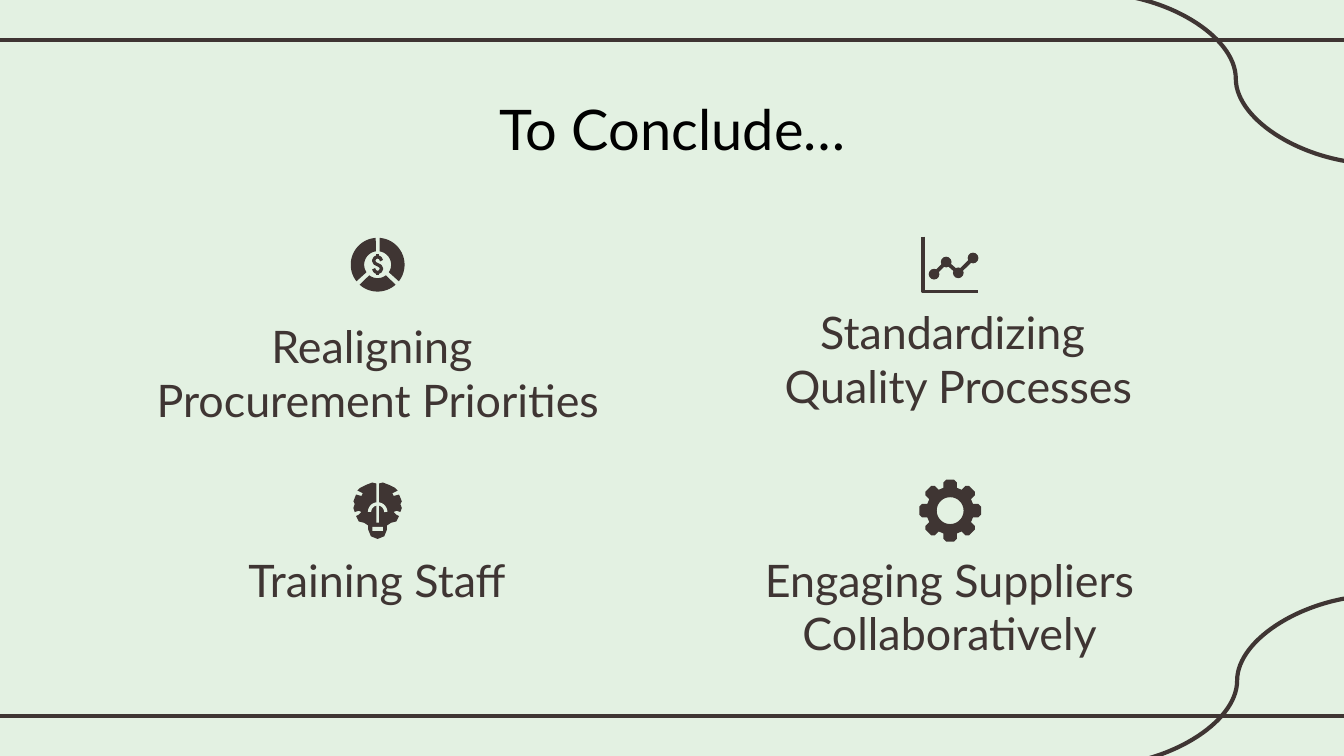
from math import cos, pi, radians, sin

from lxml import etree
from pptx import Presentation
from pptx.dml.color import RGBColor
from pptx.enum.shapes import MSO_CONNECTOR, MSO_SHAPE
from pptx.enum.text import MSO_ANCHOR, PP_ALIGN
from pptx.oxml.ns import qn
from pptx.util import Inches, Pt

STRAIGHT, CURVE = MSO_CONNECTOR.STRAIGHT, MSO_CONNECTOR.CURVE
OVAL, RECTANGLE = MSO_SHAPE.OVAL, MSO_SHAPE.RECTANGLE
TOP, CENTER = MSO_ANCHOR.TOP, PP_ALIGN.CENTER

MINT = RGBColor(0xE3, 0xF1, 0xE2)
BROWN = RGBColor(0x3F, 0x35, 0x33)
BLACK = RGBColor(0, 0, 0)

WIDTH = 10
HEIGHT = WIDTH * 9 / 16
COLUMNS, ROWS = (2.81, 7.07), (1.97, 3.8)  # icon centres

# kind, from, to
FRAME_LINES = [
    (STRAIGHT, (-0.08, 0.3), (10.08, 0.3)),
    (STRAIGHT, (-0.08, 5.33), (10.08, 5.33)),
    (CURVE, (8.14, -0.05), (10.25, 1.22)),
    (CURVE, (10.26, 4.43), (8.15, 5.7)),
]

TITLE = {"name": "Lato", "size": Pt(30)}
POINT = {"name": "Lato", "size": Pt(24)}
# paragraphs, (left, top, width, height), font, colour
TEXTS = [
    (["Standardizing ", "Quality Processes"],
     (5.4, 2.17, 3.46, 1.17), POINT, BROWN),
    (["Realigning ", "Procurement Priorities"],
     (0.98, 2.27, 3.66, 1.08), POINT, BROWN),
    (["Training Staff"], (1.54, 4.01, 2.53, 0.78), POINT, BROWN),
    (["Engaging Suppliers Collaboratively"],
     (5.41, 4.01, 3.31, 1.08), POINT, BROWN),
    (["To Conclude…"], (1.68, 0.6, 6.65, 0.78), TITLE, BLACK),
]

# Icon outlines, in inches from the icon's centre
RING_SECTORS = [(4, 128), (138, 222), (232, 356)]  # degrees clockwise from top
DOLLAR_CURVE = [(0.03, -0.03), (0.02, -0.05), (0, -0.06), (-0.02, -0.05),
                (-0.03, -0.03), (-0.02, -0.01), (0.02, 0.01), (0.03, 0.03),
                (0.02, 0.05), (0, 0.06), (-0.02, 0.05), (-0.03, 0.03)]
DOLLAR_STEMS = [[(0, -0.08), (0, -0.06)], [(0, 0.06), (0, 0.08)]]
AXES = [(-0.2, -0.21), (-0.2, 0.2), (0.21, 0.2)]
TREND = [(-0.12, 0.07), (-0.03, -0.02), (0.06, 0.06), (0.17, -0.05)]
BULB_HALF = [(0, -0.2), (0.04, -0.21), (0.09, -0.19), (0.13, -0.17),
             (0.15, -0.15), (0.11, -0.13), (0.12, -0.11), (0.16, -0.12),
             (0.18, -0.07), (0.17, -0.05), (0.18, -0.02), (0.17, 0.01),
             (0.14, 0), (0.12, 0.01), (0.14, 0.03), (0.16, 0.04),
             (0.14, 0.08), (0.1, 0.09), (0.07, 0.11), (0.07, 0.14),
             (0.05, 0.19), (0, 0.21)]
BULB_SLOTS = [(-0.01, -0.21, 0.02, 0.3), (-0.04, 0.12, 0.08, 0.03)]


def emu(values):
    return [Inches(value) for value in values]


def polar(radius, degrees):
    """Offset of a point, with degrees clockwise from the top."""
    angle = radians(degrees)
    return radius * sin(angle), -radius * cos(angle)


def arc(radius, start, end, steps=32):
    return [polar(radius, start + (end - start) * i / steps)
            for i in range(steps + 1)]


def paint(shape, color):
    shape.shadow.inherit = False
    shape.fill.solid()
    shape.fill.fore_color.rgb = color
    shape.line.fill.background()


def outline(page, center, contours, closed=True):
    paths = [[emu((center[0] + x, center[1] + y)) for x, y in contour]
             for contour in contours]
    builder = page.shapes.build_freeform(*paths[0][0])
    builder.add_line_segments(paths[0][1:], close=closed)
    for path in paths[1:]:
        builder.move_to(*path[0])
        builder.add_line_segments(path[1:], close=closed)
    return builder.convert_to_shape()


def solid(page, center, *contours):
    paint(outline(page, center, contours), BROWN)


def stroke(page, center, contours, width, color=BROWN):
    shape = outline(page, center, contours, closed=False)
    shape.shadow.inherit = False
    shape.fill.background()
    shape.line.color.rgb = color
    shape.line.width = Pt(width)


def preset(page, kind, center, box, color=BROWN):
    left, top, width, height = box
    area = emu((center[0] + left, center[1] + top, width, height))
    paint(page.shapes.add_shape(kind, *area), color)


def draw_budget_ring(page, center):
    for start, end in RING_SECTORS:
        solid(page, center, arc(0.2, start, end) + arc(0.1, end - 4, start + 4))
    stroke(page, center, [DOLLAR_CURVE, *DOLLAR_STEMS], 1.75)


def draw_trend_icon(page, center):
    stroke(page, center, [AXES], 2)
    stroke(page, center, [TREND], 2)
    for x, y in TREND:
        preset(page, OVAL, center, (x - 0.04, y - 0.04, 0.08, 0.08))


def draw_bulb(page, center):
    solid(page, center, BULB_HALF + [(-x, y) for x, y in BULB_HALF[-2:0:-1]])
    for slot in BULB_SLOTS:
        preset(page, RECTANGLE, center, slot, MINT)
    arch = [(x, y + 0.01) for x, y in arc(0.06, -90, 90)]
    stroke(page, center, [arch], 1.75, MINT)


def draw_gear(page, center):
    tooth = [(-0.05, 0.17), (-0.05, 0.21), (-0.03, 0.23),
             (0.03, 0.23), (0.05, 0.21), (0.05, 0.17)]
    rim = []
    for k in range(8):
        turn = k * pi / 4
        rim += [(x * cos(turn) + y * sin(turn), x * sin(turn) - y * cos(turn))
                for x, y in tooth]
    solid(page, center, rim, arc(0.1, 360, 0))


def add_frame_line(page, kind, start, end):
    line = page.shapes.add_connector(kind, *emu(start + end))
    line.line.color.rgb = BROWN
    line.line.width = Pt(2.25)
    etree.SubElement(line._element.spPr, qn("a:effectLst"))


def add_text(page, paragraphs, area, font, color):
    frame = page.shapes.add_textbox(*emu(area)).text_frame
    margins = {f"margin_{side}": Inches(0.1)
               for side in ("left", "right", "top", "bottom")}
    settings = {"word_wrap": True, "vertical_anchor": TOP, **margins}
    for name, value in settings.items():
        setattr(frame, name, value)
    for i, text in enumerate(paragraphs):
        para = frame.add_paragraph() if i else frame.paragraphs[0]
        para.alignment = CENTER
        span = para.add_run()
        span.text = text
        for name, value in font.items():
            setattr(span.font, name, value)
        span.font.color.rgb = color


def main():
    deck = Presentation()
    deck.slide_width, deck.slide_height = emu((WIDTH, HEIGHT))
    page = deck.slides.add_slide(deck.slide_layouts[6])
    page.background.fill.solid()
    page.background.fill.fore_color.rgb = MINT

    for frame_line in FRAME_LINES:
        add_frame_line(page, *frame_line)
    for text in TEXTS:
        add_text(page, *text)
    icons = [[draw_budget_ring, draw_trend_icon], [draw_bulb, draw_gear]]
    for y, row in zip(ROWS, icons):
        for x, draw in zip(COLUMNS, row):
            draw(page, (x, y))
    deck.save("out.pptx")


if __name__ == "__main__":
    main()
